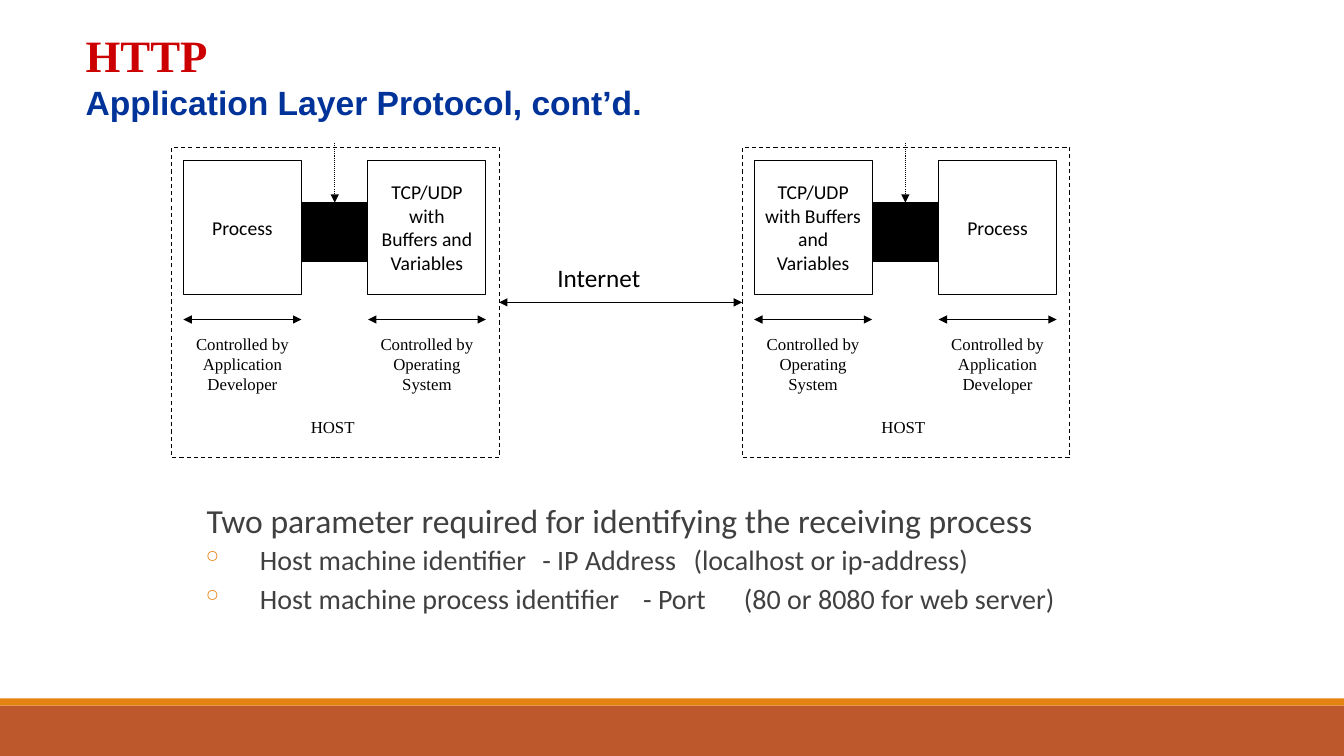
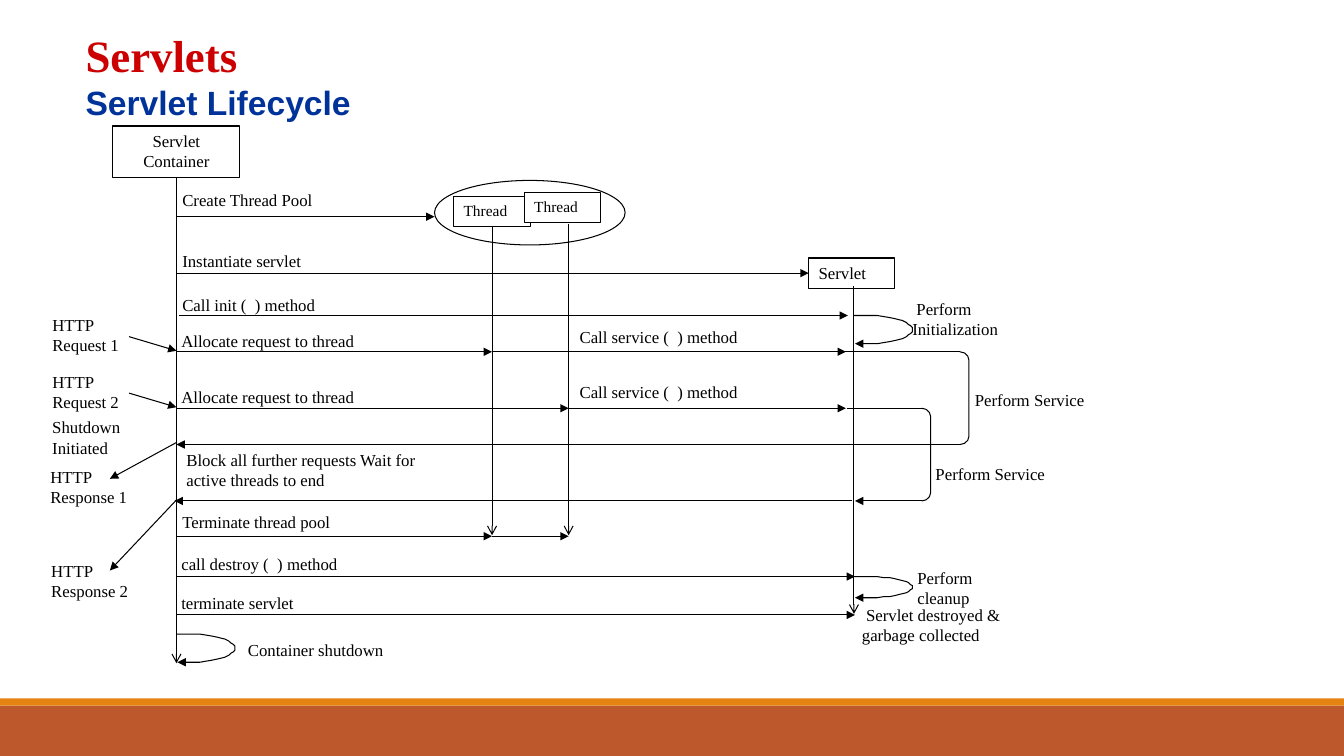
import math

from pptx import Presentation
from pptx import util as u
from pptx.dml.color import RGBColor
from pptx.enum import dml, shapes, text
from pptx.oxml import parse_xml
from pptx.oxml.ns import nsdecls, qn

PX = 9144  # EMU per px, 100 px to the inch
BLACK = RGBColor(0x00, 0x00, 0x00)
WHITE = RGBColor(0xFF, 0xFF, 0xFF)
RED = RGBColor(0xCC, 0x00, 0x00)
BLUE = RGBColor(0x00, 0x33, 0x99)
GREY = RGBColor(0x40, 0x40, 0x40)
ORANGE = RGBColor(0xE4, 0x83, 0x12)
RUST = RGBColor(0xBD, 0x58, 0x2C)
SERIF, SANS, BODY = "Times New Roman", "Arial", "Calibri"
SHAPE = shapes.MSO_SHAPE
LEFT, CENTER = text.PP_ALIGN.LEFT, text.PP_ALIGN.CENTER
TOP, MIDDLE = text.MSO_ANCHOR.TOP, text.MSO_ANCHOR.MIDDLE
DASH = dml.MSO_LINE.DASH
DOTS = dml.MSO_LINE.ROUND_DOT


def px(*lengths):
    return [u.Emu(n * PX) for n in lengths]


def style(r, size, font, color, bold=False):
    r.font.size = u.Pt(size)
    r.font.name = font
    r.font.bold = bold
    r.font.color.rgb = color


def write(sp, words, size=12, font=SERIF, align=LEFT, anchor=TOP):
    tf = sp.text_frame
    tf.word_wrap = True
    tf.vertical_anchor = anchor
    tf.text = words
    for p in tf.paragraphs:
        p.alignment = align
        for r in p.runs:
            style(r, size, font, BLACK)


def label(s, words, x, y, w, h=30, **look):
    write(s.shapes.add_textbox(*px(x, y, w, h)), words, **look)


def outline(sp, dash=None):
    sp.line.color.rgb = BLACK
    sp.line.width = u.Pt(0.75)
    if dash:
        sp.line.dash_style = dash


def arrowheads(sp, head, tail):
    ln = sp._element.spPr.find(qn("a:ln"))
    for tag, kind in (("headEnd", head), ("tailEnd", tail)):
        if kind:
            ln.append(parse_xml(f'<a:{tag} {nsdecls("a")} type="{kind}"/>'))


def box(s, x, y, w, h, fill=None, kind=SHAPE.RECTANGLE, dash=None):
    sp = s.shapes.add_shape(kind, *px(x, y, w, h))
    sp.shadow.inherit = False
    if fill is None:
        sp.fill.background()
    else:
        sp.fill.solid()
        sp.fill.fore_color.rgb = fill
    outline(sp, dash)
    return sp


def arrow(s, x1, y1, x2, y2, head=None, tail="triangle", dash=None,
          begin=None, end=None):
    """Straight line; begin and end are (shape, site) pairs to join."""
    cn = s.shapes.add_connector(shapes.MSO_CONNECTOR.STRAIGHT,
                                *px(x1, y1, x2, y2))
    cn._element.spPr.append(parse_xml(f'<a:effectLst {nsdecls("a")}/>'))
    if begin:
        cn.begin_connect(*begin)
    if end:
        cn.end_connect(*end)
    outline(cn, dash)
    # line properties must come before effects
    spPr = cn._element.spPr
    spPr.append(spPr.find(qn("a:effectLst")))
    arrowheads(cn, head, tail)


def self_call(s, x, y, h):
    """Half-ellipse that leaves a lifeline and returns to it."""
    points = []
    for step in range(25):
        a = math.pi * (step / 24 - 0.5)
        points.append((x + 11 + 47 * math.cos(a), y + h / 2 * (1 + math.sin(a))))
    fb = s.shapes.build_freeform(x, y, scale=PX)
    fb.add_line_segments(points + [(x + 1, y + h)], close=False)
    sp = fb.convert_to_shape()
    sp.shadow.inherit = False
    sp.fill.background()
    outline(sp)
    arrowheads(sp, None, "triangle")


def new_slide(prs, heading, subheading):
    s = prs.slides.add_slide(prs.slide_layouts[6])
    for y, h, color in ((700, 50, RUST), (693, 7, ORANGE)):
        box(s, 0, y, 1333, h, color).line.fill.background()
    tf = s.shapes.add_textbox(*px(75, 12, 850, 125)).text_frame
    tf.word_wrap = True
    tf.vertical_anchor = MIDDLE
    p = tf.paragraphs[0]
    p.text = f"{heading}\v{subheading}"
    style(p.runs[0], 32, SERIF, RED, True)
    style(p.runs[1], 24, SANS, BLUE, True)
    return s


def host(s, x, parts):
    """Host frame with two (name, controller) parts joined by a socket."""
    for (name, controller), left in zip(parts, (x + 12, x + 195)):
        write(box(s, left, 159, 117, 133), name, 14, BODY, CENTER, MIDDLE)
        arrow(s, left, 317, left + 117, 317, head="triangle")
        label(s, f"Controlled by\n{controller}", left, 326, 117, 78,
              align=CENTER)
    socket = box(s, x + 129, 201, 66, 58, BLACK)
    arrow(s, x + 162, 142, x + 162, 201, dash=DOTS, end=(socket, 0))
    label(s, "HOST", x + 127, 409, 66, align=CENTER)
    return box(s, x, 146, 325, 308, dash=DASH)


def bullet(p):
    pPr = p._p.get_or_add_pPr()
    pPr.append(parse_xml(f'<a:buClr {nsdecls("a")}>'
                         f'<a:srgbClr val="{ORANGE}"/></a:buClr>'))
    pPr.append(parse_xml(f'<a:buChar {nsdecls("a")} char="◦"/>'))


def parameters(s):
    tf = s.shapes.add_textbox(*px(128, 496, 942, 167)).text_frame
    tf.word_wrap = True
    tf.text = ("Two parameter required for identifying the receiving process\n"
               "Host machine identifier\t- IP Address\t(localhost or ip-address)\n"
               "Host machine process identifier\t- Port\t(80 or 8080 for web server)")
    for i, p in enumerate(tf.paragraphs):
        p.line_spacing = 0.9
        p.space_before = u.Pt(2 if i else 0)
        p.space_after = u.Pt(4 if i else 2)
        pPr = p._p.get_or_add_pPr()
        pPr.set("marL", str((120 if i else 67) * PX))
        pPr.set("indent", str((-58 if i else 0) * PX))
        if i:
            bullet(p)
        for r in p.runs:
            style(r, 20 if i else 24, BODY, GREY)


def protocol_slide(prs):
    s = new_slide(prs, "HTTP", "Application Layer Protocol, cont’d.")
    developer, system = "Application\nDeveloper", "Operating\nSystem"
    sender = host(s, 170, (("Process", developer),
                           ("TCP/UDP with\nBuffers and Variables", system)))
    receiver = host(s, 736, (("TCP/UDP with Buffers and Variables", system),
                             ("Process", developer)))
    arrow(s, 495, 300, 736, 300, head="triangle",
          begin=(sender, 3), end=(receiver, 1))
    label(s, "Internet", 543, 255, 142, 50, size=18, font=BODY)
    parameters(s)


def participants(s):
    container = box(s, 112, 125, 126, 51)
    write(container, "Servlet Container", align=CENTER)
    box(s, 431, 179, 189, 64, kind=SHAPE.OVAL)
    thread = box(s, 450, 195, 76, 30, WHITE)
    write(thread, "Thread", 11)
    write(box(s, 520, 191, 76, 30, WHITE), "Thread", 11)
    servlet = box(s, 802, 256, 85, 30, WHITE)
    write(servlet, "Servlet")
    for x, top, bottom, begin in ((175, 176, 658, (container, 2)),
                                  (488, 225, 531, (thread, 2)),
                                  (564, 222, 531, None),
                                  (847, 284, 609, None)):
        arrow(s, x, top, x, bottom, tail="arrow", begin=begin)
    arrow(s, 175, 271, 802, 271, end=(servlet, 1))


def messages(s):
    for x1, x2, y in ((175, 431, 215), (178, 841, 313),
                      (175, 488, 349), (488, 839, 349),
                      (175, 564, 405), (564, 839, 405),
                      (848, 175, 441), (914, 848, 497), (845, 173, 497),
                      (175, 488, 532), (488, 564, 532),
                      (175, 848, 572), (175, 848, 610)):
        arrow(s, x1, y, x2, y)
    for x1, x2, y in ((829, 952, 349), (829, 952, 441), (840, 914, 405)):
        arrow(s, x1, y, x2, y, tail=None)
    for x, y in ((952, 349), (914, 405)):
        service = box(s, x, y, 9, 92, kind=SHAPE.RIGHT_BRACKET)
        service.adjustments[0] = 0.92
    for x1, y1, x2, y2 in ((128, 334, 175, 348), (128, 390, 175, 404),
                           (175, 439, 109, 475), (175, 496, 109, 566)):
        arrow(s, x1, y1, x2, y2)
    for x, y, h in ((847, 313, 28), (847, 572, 21), (175, 629, 28)):
        self_call(s, x, y, h)


def captions(s):
    for words, x, y, w in (
            ("Create Thread Pool", 171, 183, 180),
            ("Instantiate servlet", 171, 244, 180),
            ("Call init (  ) method", 171, 287, 180),
            ("Allocate request to thread", 170, 323, 246),
            ("Allocate request to thread", 170, 379, 246),
            ("Terminate thread pool", 171, 503, 199),
            ("call destroy (  ) method", 170, 544, 208),
            ("terminate servlet", 170, 583, 161),
            ("Container shutdown", 236, 630, 189),
            ("Call service (  ) method", 565, 319, 208),
            ("Call service (  ) method", 565, 374, 208),
            ("Perform Service", 957, 382, 161),
            ("Perform Service", 918, 455, 161)):
        label(s, words, x, y, w)
    for words, x, y, w in (
            ("Block all further requests Wait for active threads to end",
             175, 441, 256),
            (" Perform Initialization", 895, 291, 123),
            ("Perform cleanup", 900, 558, 85),
            (" Servlet destroyed & garbage collected", 845, 595, 178),
            ("HTTP Request 1", 42, 307, 118),
            ("HTTP Request 2", 42, 364, 118),
            ("Shutdown Initiated", 42, 409, 104),
            ("HTTP Response 1", 40, 458, 118),
            ("HTTP Response 2", 41, 551, 118)):
        label(s, words, x, y, w, 50)


def lifecycle_slide(prs):
    s = new_slide(prs, "Servlets", "Servlet Lifecycle")
    participants(s)
    messages(s)
    captions(s)


def main():
    prs = Presentation()
    prs.slide_width, prs.slide_height = px(1333, 750)
    protocol_slide(prs)
    lifecycle_slide(prs)
    prs.save("out.pptx")


if __name__ == "__main__":
    main()
